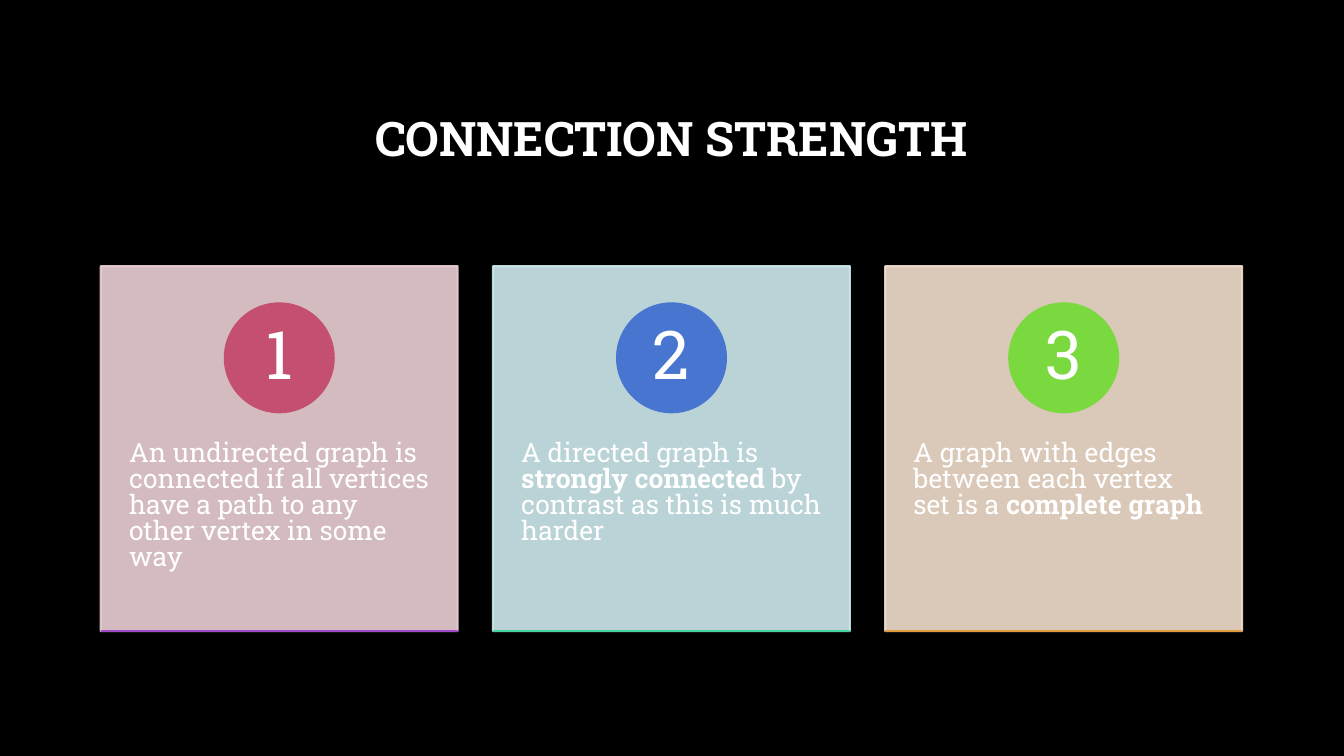
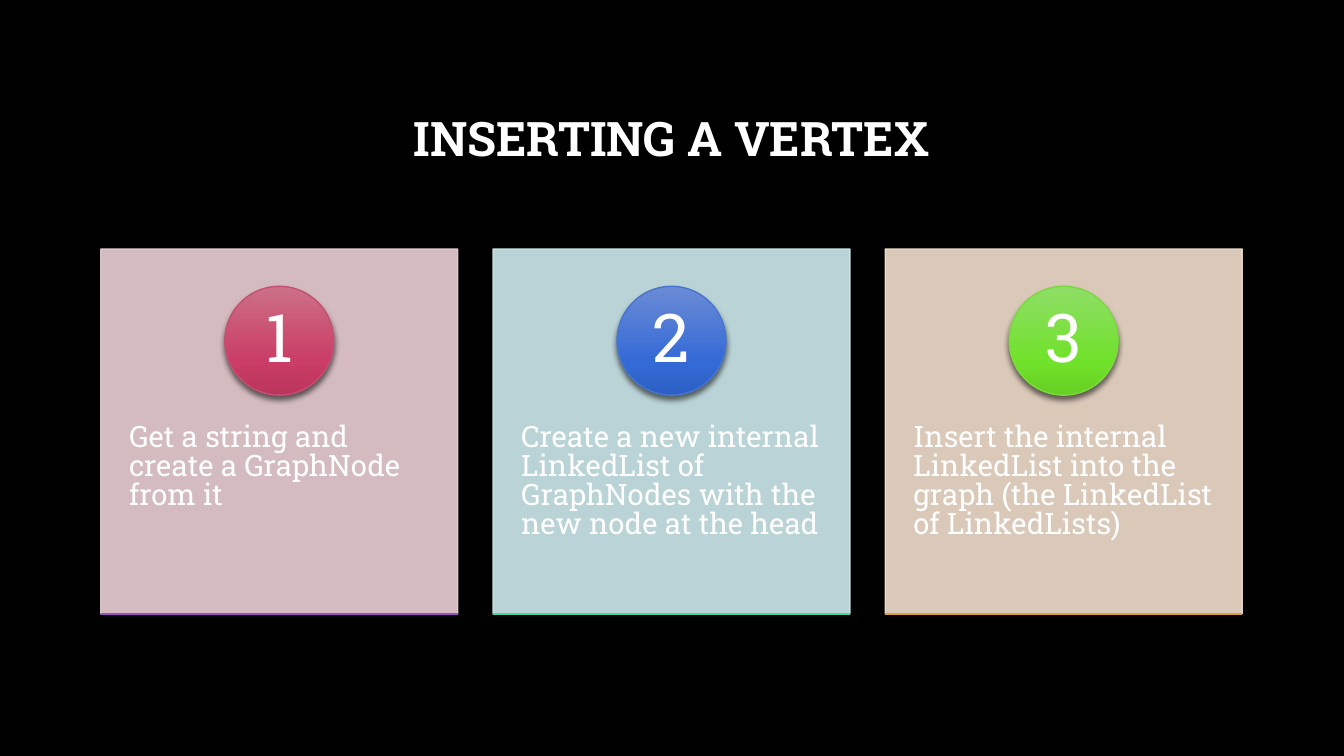
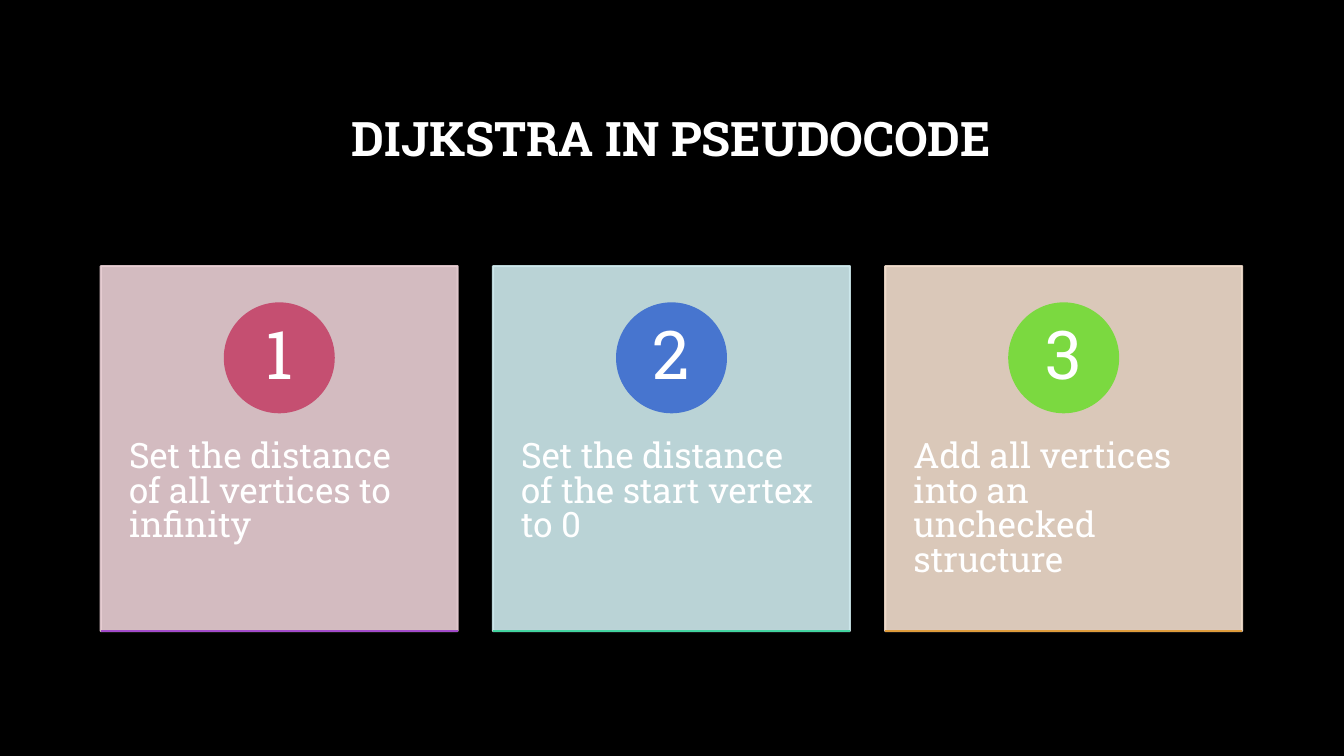
"""Build three graph-theory slides, each with a title and three numbered cards."""
from copy import deepcopy
from dataclasses import dataclass
from typing import Optional

from lxml.etree import SubElement
from pptx import Presentation
from pptx.dml.color import RGBColor as RGB
from pptx.enum.shapes import MSO_CONNECTOR as CONN, MSO_SHAPE as SHAPE
from pptx.enum.text import MSO_ANCHOR as ANCHOR, PP_ALIGN as ALIGN
from pptx.oxml.ns import qn
from pptx.util import Inches, Pt


@dataclass(frozen=True)
class Palette:
    """Colours of one card; glow holds the badge gradient from top to bottom."""
    card: str
    badge: str
    base: str
    glow: tuple[str, str, str]


@dataclass(frozen=True)
class Theme:
    """Colours, font and type sizes shared by all slides."""
    font: str = "Roboto Slab"
    back: str = "000000"
    text: str = "FFFFFF"
    title_pt: float = 34
    number_pt: float = 48
    spacing: float = 0.9
    body_spacing: float = 0.82
    card_alpha: int = 90
    shadow_alpha: int = 54
    glow_stops: tuple[float, float, float] = (0, 0.69, 1)
    palettes: tuple[Palette, ...] = (
        Palette("EAD0D5", "C54F71", "A24BCA", ("CC7087", "CA3D66", "BA355B")),
        Palette("CFEAEE", "4775CF", "43D4A0", ("6B8BD5", "346AD6", "2C60C5")),
        Palette("F2DECE", "7BD940", "DE9C3C", ("8FDE67", "71E22B", "66D023")),
    )


@dataclass(frozen=True)
class Run:
    """A piece of text with one weight."""
    text: str
    bold: bool = False


@dataclass(frozen=True)
class Deck:
    """Content and look of one slide."""
    title: str
    body_pt: float
    cards: tuple[tuple[Run, ...], ...]
    top: float = 2.64
    line_pt: float = 1.5
    glossy: bool = False


THEME = Theme()
LEFT, PITCH, CARD_W, CARD_H = 1, 3.89, 3.54, 3.62
BADGE, BADGE_DROP, BODY_DROP, BODY_H = 1.08, 0.37, 1.38, 2.17

DECKS = (
    Deck("CONNECTION STRENGTH", 19, (
        (Run("An undirected graph is connected if all vertices "
             "have a path to any other vertex in some way"),),
        (Run("A directed graph is "), Run("strongly connected", True),
         Run(" by contrast as this is much harder")),
        (Run("A graph with edges between each vertex set is a "),
         Run("complete graph", True)),
    )),
    Deck("INSERTING A VERTEX", 21, (
        (Run("Get a string and create a GraphNode from it"),),
        (Run("Create a new internal LinkedList of GraphNodes "
             "with the new node at the head"),),
        (Run("Insert the internal LinkedList into the graph "
             "(the LinkedList of LinkedLists)"),),
    ), top=2.47, line_pt=1, glossy=True),
    Deck("DIJKSTRA IN PSEUDOCODE", 25, (
        (Run("Set the distance of all vertices to infinity"),),
        (Run("Set the distance of the start vertex to 0"),),
        (Run("Add all vertices into an unchecked structure"),),
    )),
)


def rgb(code: str) -> RGB:
    """Turn a hex code into a colour."""
    return RGB.from_string(code)


def write(sp, runs: tuple[Run, ...], size: float, align: ALIGN = ALIGN.LEFT,
          anchor: ANCHOR = ANCHOR.MIDDLE, spacing: float = THEME.spacing,
          insets: tuple[float, float] = (0.1, 0.05)) -> None:
    """Write one paragraph into a shape, run by run."""
    tf = sp.text_frame
    tf.word_wrap = True
    tf.vertical_anchor = anchor
    tf.margin_left = tf.margin_right = Inches(insets[0])
    tf.margin_top = tf.margin_bottom = Inches(insets[1])
    p = tf.paragraphs[0]
    p.alignment, p.line_spacing = align, spacing
    for run in runs:
        r = p.add_run()
        r.text = run.text
        r.font.name, r.font.size, r.font.bold = THEME.font, Pt(size), run.bold
        r.font.color.rgb = rgb(THEME.text)


def add_box(s, x: float, y: float, w: float, h: float):
    """Add an empty text box."""
    return s.shapes.add_textbox(Inches(x), Inches(y), Inches(w), Inches(h))


def add_solid(s, kind: SHAPE, x: float, y: float, w: float, h: float,
              color: str, line_pt: float, alpha: Optional[int] = None):
    """Add a shape with fill and line of one colour."""
    sp = s.shapes.add_shape(kind, Inches(x), Inches(y), Inches(w), Inches(h))
    sp.shadow.inherit = False
    sp.fill.solid()
    sp.fill.fore_color.rgb = sp.line.color.rgb = rgb(color)
    sp.line.width = Pt(line_pt)
    if alpha is not None:
        for clr in sp._element.spPr.iter(qn("a:srgbClr")):
            SubElement(clr, qn("a:alpha"), val=str(alpha * 1000))
    return sp


def add_gloss(sp, glow: tuple[str, str, str]) -> None:
    """Give a shape a downward gradient and a soft shadow below."""
    spPr = sp._element.spPr
    sp.fill.gradient()
    sp.fill.gradient_angle = 270
    gs_lst = spPr.find(f"{qn('a:gradFill')}/{qn('a:gsLst')}")
    gs_lst.insert(1, deepcopy(gs_lst[0]))
    for stop, pos, color in zip(sp.fill.gradient_stops, THEME.glow_stops, glow):
        stop.position, stop.color.rgb = pos, rgb(color)
    shadow = SubElement(spPr.find(qn("a:effectLst")), qn("a:outerShdw"),
                        blurRad=str(Pt(4)), dist=str(Pt(3)), dir="5400000",
                        algn="ctr", rotWithShape="0")
    clr = SubElement(shadow, qn("a:srgbClr"), val=THEME.back)
    SubElement(clr, qn("a:alpha"), val=str(THEME.shadow_alpha * 1000))


def add_base(s, x: float, y: float, color: str, line_pt: float) -> None:
    """Draw the coloured line along the bottom of a card."""
    cxn = s.shapes.add_connector(CONN.STRAIGHT, Inches(x), Inches(y),
                                 Inches(x + CARD_W), Inches(y))
    cxn.line.color.rgb, cxn.line.width = rgb(color), Pt(line_pt)
    SubElement(cxn._element.spPr, qn("a:effectLst"))


def add_card(s, deck: Deck, i: int) -> None:
    """Draw card number i of a slide."""
    pal, x, y = THEME.palettes[i], LEFT + i * PITCH, deck.top
    add_solid(s, SHAPE.RECTANGLE, x, y, CARD_W, CARD_H, pal.card,
              deck.line_pt, THEME.card_alpha)
    body = add_box(s, x, y + BODY_DROP, CARD_W, BODY_H)
    write(body, deck.cards[i], deck.body_pt, anchor=ANCHOR.TOP,
          spacing=THEME.body_spacing, insets=(0.28, 0.36))
    badge = add_solid(s, SHAPE.OVAL, x + (CARD_W - BADGE) / 2, y + BADGE_DROP,
                      BADGE, BADGE, pal.badge, deck.line_pt)
    if deck.glossy:
        add_gloss(badge, pal.glow)
    write(badge, (Run(str(i + 1)),), THEME.number_pt, ALIGN.CENTER,
          insets=(0.08, 0.01))
    add_base(s, x, y + CARD_H, pal.base, deck.line_pt)


def add_deck(prs, deck: Deck) -> None:
    """Add one slide with its background, title and cards."""
    s = prs.slides.add_slide(prs.slide_layouts[6])
    s.background.fill.solid()
    s.background.fill.fore_color.rgb = rgb(THEME.back)
    title = add_box(s, LEFT, 0.67, 2 * PITCH + CARD_W, 1.45)
    write(title, (Run(deck.title, True),), THEME.title_pt, ALIGN.CENTER)
    for i in range(len(deck.cards)):
        add_card(s, deck, i)


def main() -> None:
    """Build and save the presentation."""
    prs = Presentation()
    prs.slide_width, prs.slide_height = Inches(13.33), Inches(7.5)
    for deck in DECKS:
        add_deck(prs, deck)
    prs.save("out.pptx")


if __name__ == "__main__":
    main()
